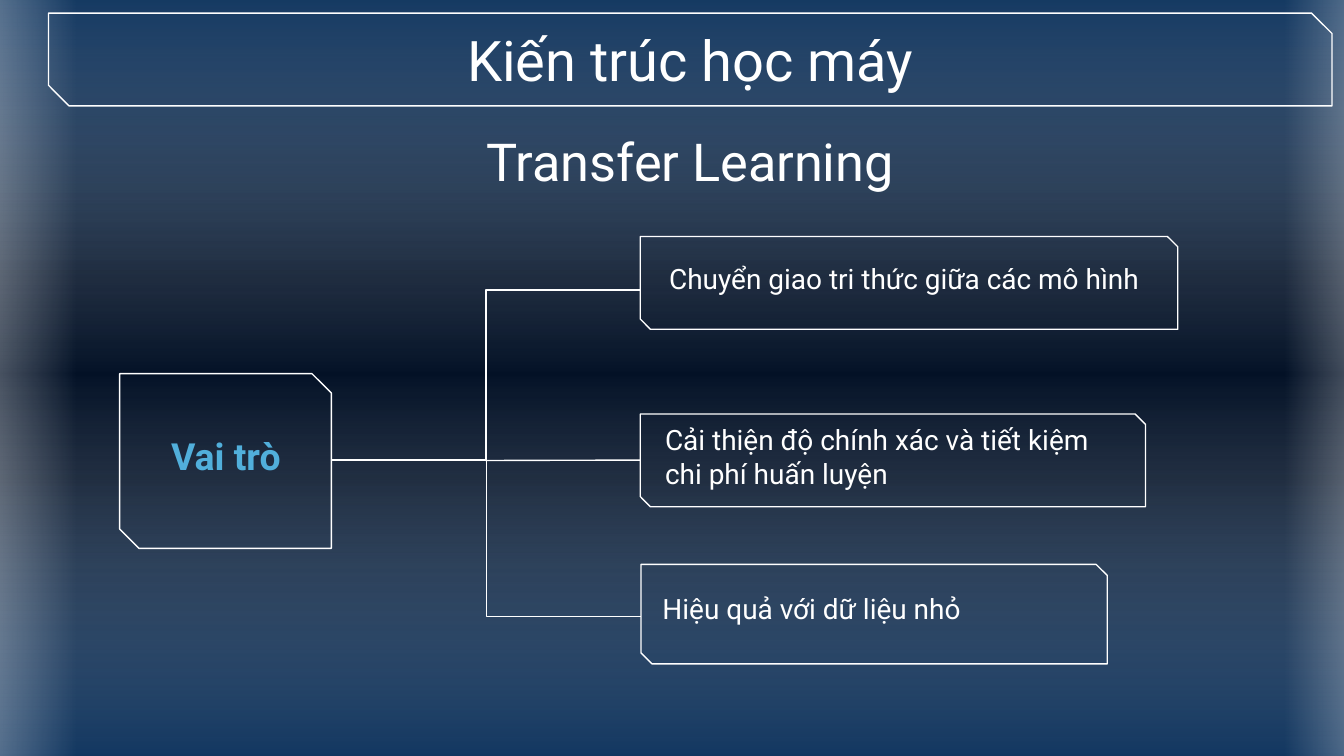
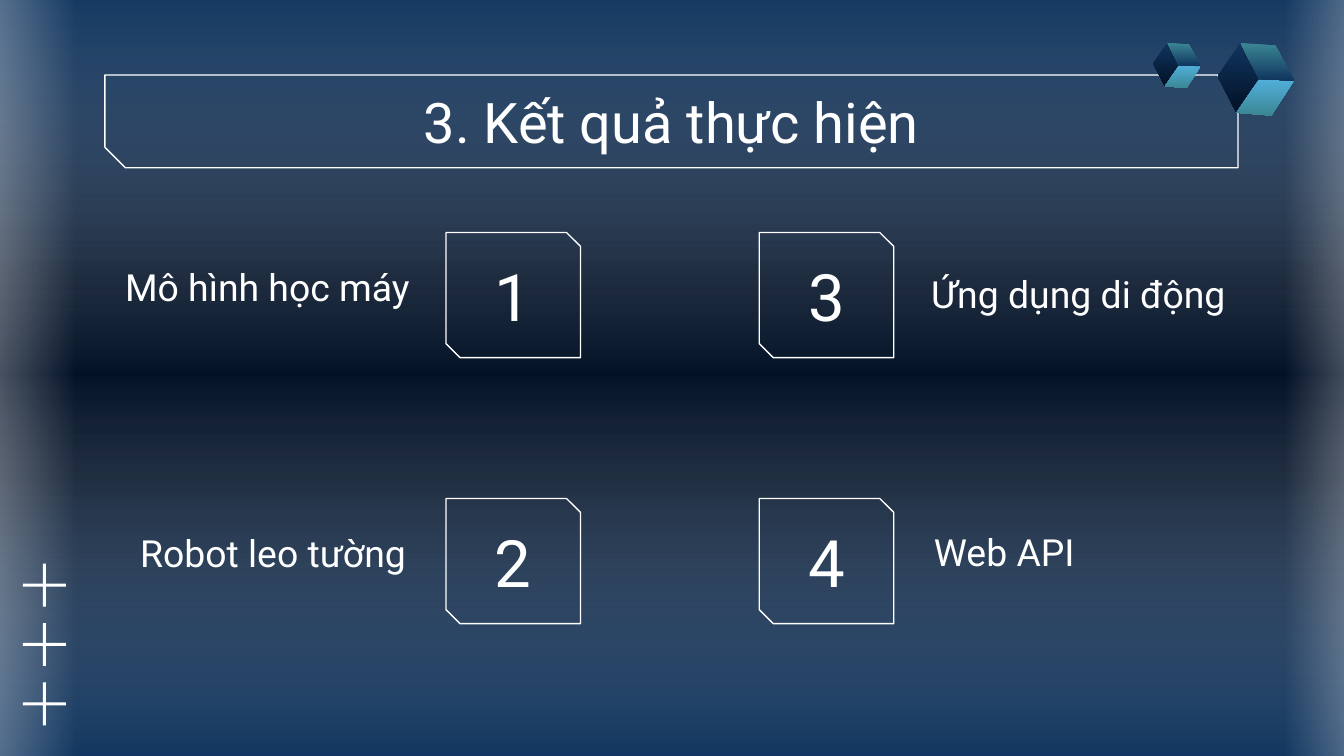
from itertools import product

from lxml import etree
from pptx import Presentation
from pptx.dml.color import RGBColor
from pptx.enum.shapes import MSO_CONNECTOR as LINE, MSO_SHAPE as SHAPE
from pptx.enum.text import MSO_ANCHOR as ANCHOR, MSO_AUTO_SIZE as AUTO, PP_ALIGN as ALIGN
from pptx.oxml.ns import qn
from pptx.util import Pt

FONT = "Roboto"
COLORS = {
    "white": "FFFFFF",
    "navy": "10355F",
    "night": "031126",
    "sky": "51AFDB",
    "teal": "3B8794",
}
CUBE_FACES = [
    ("navy", "night", [(12.2, 0), (0, 18), (10.1, 37.4), (22.3, 19.4)]),
    ("sky", "teal", [(22.3, 19.4), (41, 20.2), (28.8, 38.9), (10.1, 37.4)]),
    ("teal", "navy", [(12.2, 0), (31, 1.4), (41, 20.2), (22.3, 19.4)]),
]


def rgb(name):
    return RGBColor.from_string(COLORS[name])


def pts(*values):
    return [Pt(v) for v in values]


def set_gradient(fill, element, stops, angle):
    """Fill with (position %, colour, alpha %) stops; the angle runs clockwise."""
    fill.gradient()
    grad = next(element.iter(qn("a:gradFill")))
    stop_list = grad.find(qn("a:gsLst"))
    for old in list(stop_list):
        stop_list.remove(old)
    for position, color, alpha in stops:
        gs = etree.SubElement(stop_list, qn("a:gs"), pos=str(position * 1000))
        clr = etree.SubElement(gs, qn("a:srgbClr"), val=COLORS[color])
        if alpha < 100:
            etree.SubElement(clr, qn("a:alpha"), val=str(alpha * 1000))
    grad.find(qn("a:lin")).set("ang", str(angle * 60000))


def add_plain(shapes, kind, box):
    s = shapes.add_shape(kind, *pts(*box))
    s.shadow.inherit = False
    s.line.fill.background()
    return s


def add_frame(slide, box, snip=0.111):
    s = add_plain(slide.shapes, SHAPE.SNIP_2_DIAG_RECTANGLE, box)
    s.adjustments[0], s.adjustments[1] = 0, snip
    s.fill.background()
    s.line.color.rgb = rgb("white")
    s.line.width = Pt(0.75)
    return s


def set_text(s, text, size, align=ALIGN.CENTER, anchor=ANCHOR.MIDDLE, color="white", bold=False):
    tf = s.text_frame
    tf.word_wrap = True
    tf.auto_size = AUTO.NONE
    tf.vertical_anchor = anchor
    tf.margin_left = tf.margin_right = tf.margin_top = tf.margin_bottom = Pt(7.2)
    p = tf.paragraphs[0]
    p.text = text
    p.alignment = align
    p.font.name = FONT
    p.font.size = Pt(size)
    p.font.bold = bold
    p.font.color.rgb = rgb(color)


def add_text(slide, box, text, size, **style):
    set_text(slide.shapes.add_textbox(*pts(*box)), text, size, **style)


def add_title(slide, x, y, w, text):
    add_frame(slide, (x, y, w, 49.7), snip=0.221)
    title = slide.shapes.title
    title.left, title.top, title.width, title.height = pts(x, y + 2.2, w, 45.4)
    set_text(title, text, 30)
    slide.shapes.element.append(title.element)  # bring in front of the frame


def add_line(slide, kind, start, end):
    c = slide.shapes.add_connector(kind, *pts(*start, *end))
    c.line.color.rgb = rgb("white")
    c.line.width = Pt(0.75)
    etree.SubElement(c.element.spPr, qn("a:effectLst"))


def add_plus(slide, cx, cy, size=23, thick=1.6):
    group = slide.shapes.add_group_shape()
    for w, h in ((size, thick), (thick, size)):
        bar = add_plain(group.shapes, SHAPE.RECTANGLE, (cx - w / 2, cy - h / 2, w, h))
        bar.fill.solid()
        bar.fill.fore_color.rgb = rgb("white")


def add_cube(slide, x, y, scale):
    group = slide.shapes.add_group_shape()
    for top, bottom, corners in CUBE_FACES:
        first, *rest = [pts(x + cx * scale, y + cy * scale) for cx, cy in corners]
        builder = group.shapes.build_freeform(*first)
        builder.add_line_segments(rest, close=True)
        face = builder.convert_to_shape()
        face.shadow.inherit = False
        face.line.fill.background()
        set_gradient(face.fill, face.element, [(0, top, 100), (100, bottom, 100)], 90)


def decorate_layout(layout, slide):
    """Give the layout its background and glow bands, drawn on the slide and moved over."""
    set_gradient(layout.background.fill, layout.element,
                 [(0, "navy", 100), (37, "night", 100), (63, "night", 100), (100, "navy", 100)], 90)
    veil = [(0, "navy", 59), (50, "white", 0), (100, "navy", 59)]
    glow = [(0, "white", 47), (100, "white", 0)]
    bands = [
        ((158.4, -167.8, 418.3, 735.1), 270, veil),
        ((-29.5, -6.5, 70.6, 417.6), 180, glow),
        ((688.3, -9.4, 61.2, 417.6), 0, glow),
    ]
    for i, (box, rotation, stops) in enumerate(bands):
        s = add_plain(slide.shapes, SHAPE.RECTANGLE, box)
        s.rotation = rotation
        set_gradient(s.fill, s.element, stops, 180)
        layout.shapes.element.insert(2 + i, s.element)


def build_transfer_learning(slide):
    add_title(slide, 26, 7, 687.6, "Kiến trúc học máy")
    add_text(slide, (244.8, 63.4, 249.8, 45.4), "Transfer Learning", 28)

    add_frame(slide, (64.1, 200.2, 113.4, 93.6))
    add_text(slide, (60.5, 225.4, 121, 37.4), "Vai trò", 20, color="sky", bold=True)

    hub = (177.8, 246.5)
    add_line(slide, LINE.ELBOW, hub, (343.4, 330.3))
    add_line(slide, LINE.ELBOW, hub, (343, 155.3))
    add_line(slide, LINE.STRAIGHT, (260, 246.7), (343, 246.5))

    branches = [
        ((343, 126.7, 288, 49.7), (351.4, 130.3, 270.7, 37.4),
         "Chuyển giao tri thức giữa các mô hình"),
        ((343, 221.8, 270.7, 49.7), (349.2, 221.8, 264.2, 45.4),
         "Cải thiện độ chính xác và tiết kiệm chi phí huấn luyện"),
        ((343.4, 302.4, 249.8, 53.3), (347.8, 303.2, 277.2, 45.4),
         "Hiệu quả với dữ liệu nhỏ"),
    ]
    for frame_box, text_box, text in branches:
        add_frame(slide, frame_box)
        add_text(slide, text_box, text, 15, align=ALIGN.LEFT)


def build_results(slide):
    add_title(slide, 56.2, 40.2, 607, "3. Kết quả thực hiện")
    labels = [
        (56.2, 142.6, 170.6, ALIGN.RIGHT, "Mô hình học máy"),
        (67.7, 285.1, 157, ALIGN.RIGHT, "Robot leo tường"),
        (491.8, 146.2, 184.3, ALIGN.LEFT, "Ứng dụng di động"),
        (493.2, 284.4, 157, ALIGN.LEFT, "Web API"),
    ]
    for x, y, w, align, text in labels:
        add_text(slide, (x, y, w, 30.2), text, 20, align=align, anchor=ANCHOR.BOTTOM)
    for number, (x, y) in enumerate(product((239, 406.8), (124.6, 267.1)), start=1):
        set_text(add_frame(slide, (x, y, 72, 67)), str(number), 35)
    for i in range(3):
        add_plus(slide, 23.8, 313.5 + 31.8 * i)
    add_cube(slide, 652.3, 23, 1)
    add_cube(slide, 617.8, 23, 0.62)


def main():
    prs = Presentation()
    prs.slide_width, prs.slide_height = pts(720, 405)
    layout = prs.slide_layouts.get_by_name("Title Only")
    first, second = [prs.slides.add_slide(layout) for _ in range(2)]
    decorate_layout(layout, first)
    build_transfer_learning(first)
    build_results(second)
    prs.save("out.pptx")


if __name__ == "__main__":
    main()
